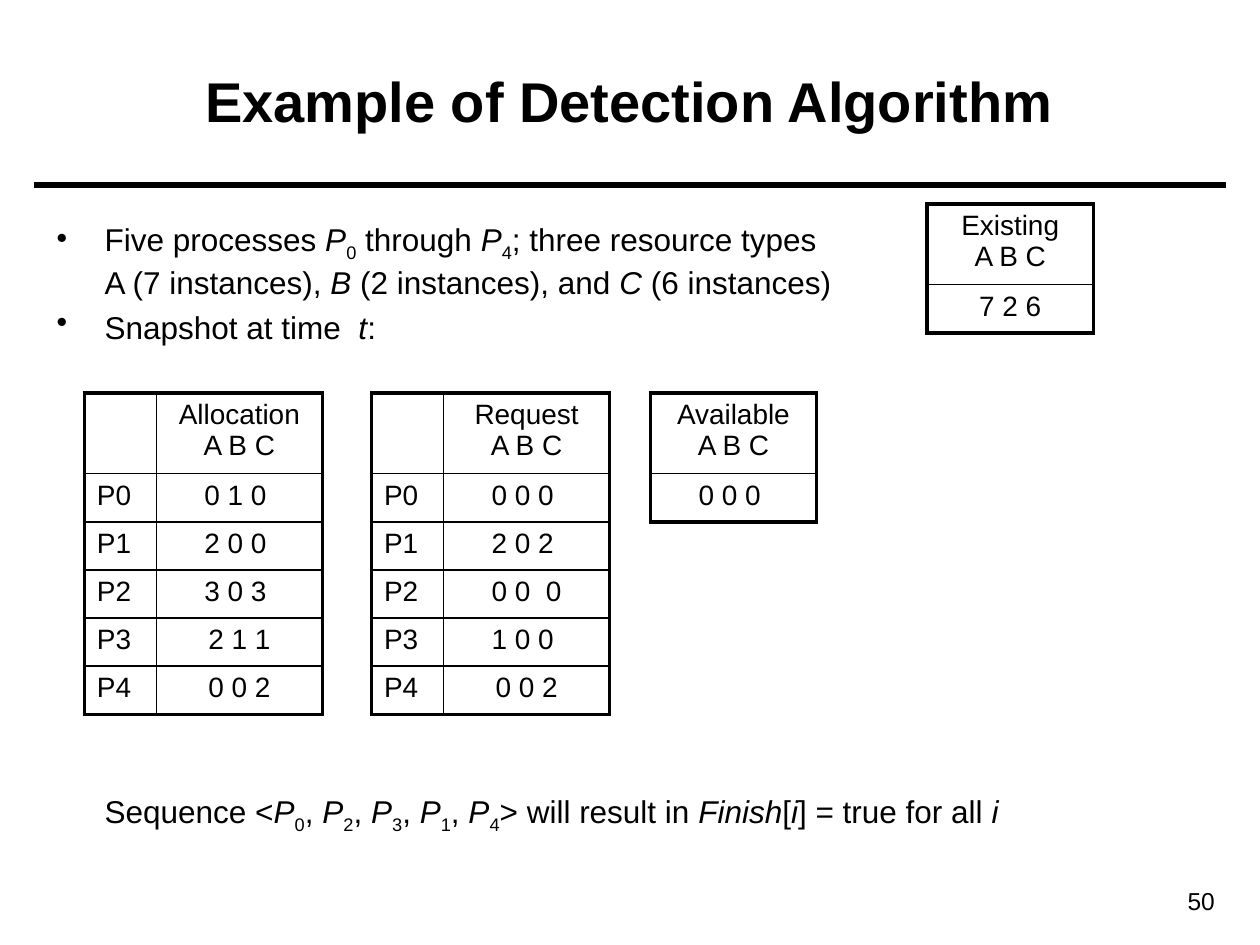
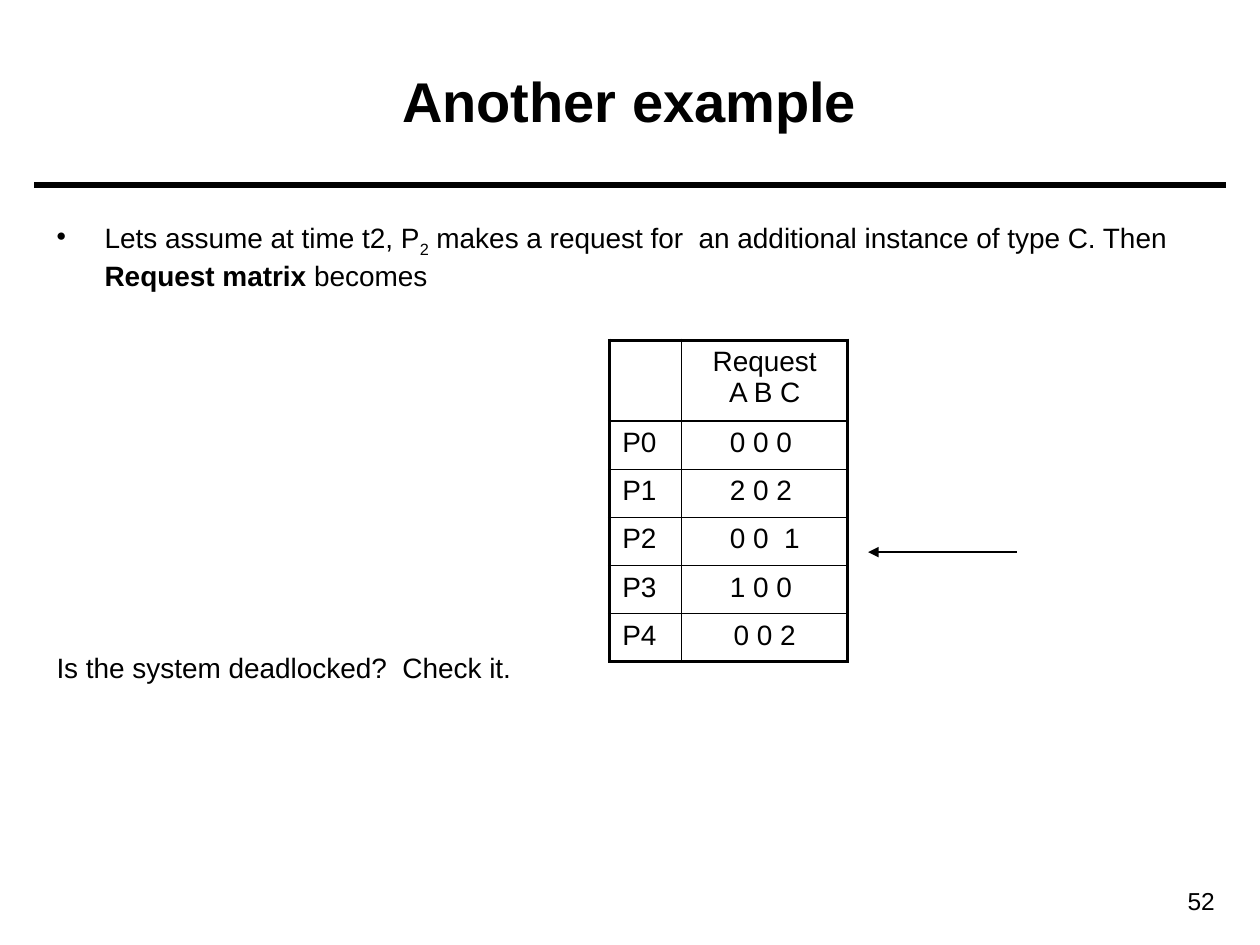
import pptx
import pptx.dml.color
import pptx.enum.shapes
import pptx.enum.text
import pptx.oxml.ns
import pptx.util
from dataclasses import dataclass
from lxml import etree

Cm = pptx.util.Cm
Pt = pptx.util.Pt
Align = pptx.enum.text.PP_ALIGN
Anchor = pptx.enum.text.MSO_ANCHOR
qn = pptx.oxml.ns.qn


@dataclass(frozen=True)
class Theme:
    font: str = "Arial"
    ink: str = "000000"
    title: float = 32
    body: float = 18
    small: float = 16
    number: float = 14
    outer_line: float = 2.25
    inner_line: float = 1
    title_line: float = 3
    arrow_line: float = 0.75


theme = Theme()
INK = pptx.dml.color.RGBColor.from_string(theme.ink)
TEXT_LEFT, TEXT_WIDTH, INDENT = 0.89, 23.6, 0.97
LABEL_WIDTH, VALUE_WIDTH = 1.45, 3.35
HEADER_HEIGHT, ROW_HEIGHT = 1.63, 0.97


def add_text(page, place, paragraphs, size, align=Align.LEFT, bullet=False,
             bold=False, anchor=Anchor.TOP):
    """Each paragraph is a list of (text, style); styles are i, b, sub, br or empty."""
    box = page.shapes.add_textbox(*[Cm(length) for length in place])
    frame = box.text_frame
    frame.word_wrap = True
    frame.vertical_anchor = anchor
    for index, spans in enumerate(paragraphs):
        para = frame.add_paragraph() if index else frame.paragraphs[0]
        para.alignment = align
        if index:
            para.space_before = Pt(0.2 * size)
        if bullet:
            properties = para._p.get_or_add_pPr()
            properties.set("marL", str(Cm(INDENT)))
            properties.set("indent", str(-Cm(INDENT)))
            etree.SubElement(properties, qn("a:buChar")).set("char", "•")
        para.font.name = theme.font
        para.font.size = Pt(size)
        para.font.color.rgb = INK
        para.font.bold = bold
        for text, style in spans:
            if style == "br":
                para.add_line_break()
            span = para.add_run()
            span.text = text
            if style == "i":
                span.font.italic = True
            elif style == "b":
                span.font.bold = True
            elif style == "sub":
                span._r.get_or_add_rPr().set("baseline", "-25000")


def add_matrix(page, left, top, name, values, labelled):
    """Table of resource counts; labelled adds the column of process names."""
    rows = [["", name + "\vA B C"]]
    rows += [[f"P{number}", value] for number, value in enumerate(values)]
    widths = [LABEL_WIDTH, VALUE_WIDTH]
    if not labelled:
        rows, widths = [row[1:] for row in rows], widths[1:]
    heights = [HEADER_HEIGHT] + [ROW_HEIGHT] * len(values)
    table = page.shapes.add_table(
        len(rows), len(widths), Cm(left), Cm(top), Cm(sum(widths)), Cm(sum(heights))).table
    table.first_row = table.horz_banding = False
    for column, width in zip(table.columns, widths):
        column.width = Cm(width)
    last_row, last_column = len(rows) - 1, len(widths) - 1
    for r, row in enumerate(rows):
        table.rows[r].height = Cm(heights[r])
        for c, text in enumerate(row):
            cell = table.cell(r, c)
            edges = {"L": c == 0, "R": c == last_column, "T": r == 0, "B": r == last_row}
            properties = cell._tc.get_or_add_tcPr()
            for side, is_outer in edges.items():
                line = etree.SubElement(properties, qn(f"a:ln{side}"))
                line.set("w", str(Pt(theme.outer_line if is_outer else theme.inner_line)))
                fill = etree.SubElement(line, qn("a:solidFill"))
                etree.SubElement(fill, qn("a:srgbClr")).set("val", theme.ink)
            cell.fill.background()
            para = cell.text_frame.paragraphs[0]
            para.text = text
            para.alignment = Align.CENTER if c == last_column else Align.LEFT
            para.font.name = theme.font
            para.font.size = Pt(theme.small)
            para.font.color.rgb = INK


sequence = [("Sequence <", "")]
for position, process in enumerate("02314"):
    if position:
        sequence.append((", ", ""))
    sequence += [("P", "i"), (process, "sub")]
sequence += [("> will result in ", ""), ("Finish", "i"), ("[", ""), ("i", "i"),
             ("] = true for all ", ""), ("i", "i")]

request = ["0 0 0 ", "2 0 2 ", "0 0  0", "1 0 0 ", "0 0 2"]
request_at_t2 = request[:2] + ["0 0  1"] + request[3:]

pages = [
    {
        "title": "Example of Detection Algorithm",
        "number": "50",
        "size": theme.body,
        "bullets": [
            [("Five processes ", ""), ("P", "i"), ("0", "sub"), (" through ", ""),
             ("P", "i"), ("4", "sub"), ("; three resource types ", ""),
             ("A (7 instances), ", "br"), ("B ", "i"), ("(2 instances), and ", ""),
             ("C", "i"), (" (6 instances)", "")],
            [("Snapshot at time ", ""), (" t", "i"), (":", "")],
        ],
        "closing": (TEXT_LEFT + INDENT, 15.85, sequence),
        "matrices": [
            (1.7, 7.92, "Allocation", ["0 1 0 ", "2 0 0 ", "3 0 3 ", "2 1 1", "0 0 2"], True),
            (7.49, 7.92, "Request", request, True),
            (13.11, 7.92, "Available", ["0 0 0 "], False),
            (18.69, 4.11, "Existing", ["7 2 6"], False),
        ],
        "arrows": [],
    },
    {
        "title": "Another example",
        "number": "52",
        "size": theme.small,
        "bullets": [
            [("Lets assume at time t2, P", ""), ("2", "sub"),
             (" makes a request for  an additional instance of type C. Then ", ""),
             ("Request matrix", "b"), (" becomes", "")],
        ],
        "closing": (TEXT_LEFT, 12.98, [("Is the system deadlocked?  Check it.", "")]),
        "matrices": [(12.29, 6.86, "Request", request_at_t2, True)],
        "arrows": [(17.5, 20.5, 11.13, theme.arrow_line, True)],
    },
]
title_rule = (0.69, 24.71, 3.73, theme.title_line, False)

deck = pptx.Presentation()
deck.slide_width, deck.slide_height = Cm(25.4), Cm(19.05)
blank = deck.slide_layouts[6]

for content in pages:
    page = deck.slides.add_slide(blank)
    for left, right, y, weight, has_head in [title_rule] + content["arrows"]:
        connector = page.shapes.add_connector(
            pptx.enum.shapes.MSO_CONNECTOR.STRAIGHT, Cm(left), Cm(y), Cm(right), Cm(y))
        connector.line.color.rgb = INK
        connector.line.width = Pt(weight)
        if has_head:
            line = connector.line._get_or_add_ln()
            etree.SubElement(line, qn("a:headEnd")).set("type", "triangle")
        etree.SubElement(connector._element.spPr, qn("a:effectLst"))

    add_text(page, (TEXT_LEFT, 0.43, TEXT_WIDTH, 3.18), [[(content["title"], "")]],
             theme.title, Align.CENTER, bold=True, anchor=Anchor.MIDDLE)
    add_text(page, (TEXT_LEFT, 4.32, TEXT_WIDTH, 2.5), content["bullets"],
             content["size"], bullet=True)
    left, top, closing = content["closing"]
    add_text(page, (left, top, TEXT_LEFT + TEXT_WIDTH - left, 1.1), [closing], content["size"])
    for matrix in content["matrices"]:
        add_matrix(page, *matrix)
    add_text(page, (22.1, 17.73, 2.64, 0.86), [[(content["number"], "")]],
             theme.number, Align.RIGHT)

deck.save("out.pptx")
